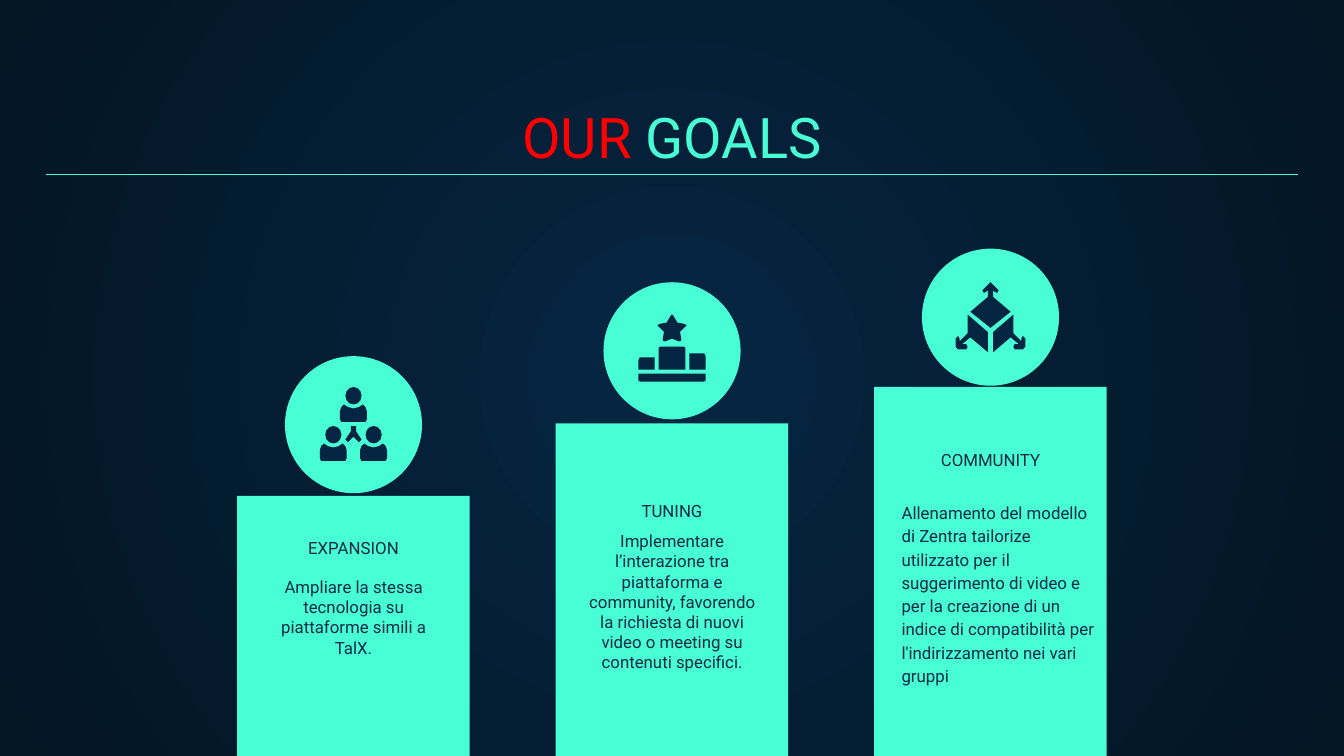
from dataclasses import dataclass
from lxml.etree import SubElement
from pptx import Presentation
from pptx.dml.color import RGBColor
from pptx.enum.shapes import MSO_CONNECTOR, MSO_SHAPE
from pptx.enum.text import MSO_ANCHOR, PP_ALIGN
from pptx.oxml.ns import qn
from pptx.util import Inches, Pt


@dataclass(frozen=True)
class Theme:
    mint: str = "48FFD5"
    red: str = "FF0000"
    ink: str = "0E2A47"
    navy: str = "052643"
    night: str = "041523"
    font: str = "Roboto"
    title_size: float = 30
    body_size: float = 9
    rule_width: float = 0.75


@dataclass(frozen=True)
class Goal:
    name: str
    detail: str
    column_top: float
    circle_top: float
    name_top: float
    detail_box: tuple
    align: PP_ALIGN = PP_ALIGN.CENTER
    spacing: float = 1.0


SLIDE_W, SLIDE_H = 10, 5.625
FIRST_AXIS, AXIS_STEP = 2.63, 2.37
COLUMN_W, CIRCLE, NAME_W = 1.73, 1.02, 2.27

GOALS = [
    Goal("EXPANSION", "Ampliare la stessa tecnologia su piattaforme simili a TalX.",
         3.69, 2.65, 4.02, (1.87, 4.19, 1.52, 0.55)),
    Goal("TUNING", "Implementare l’interazione tra piattaforma e community, favorendo "
         "la richiesta di nuovi video o meeting su contenuti specifici.",
         3.15, 2.1, 3.74, (4.24, 3.85, 1.52, 1.69)),
    Goal("COMMUNITY", "Allenamento del modello di Zentra tailorize utilizzato per il "
         "suggerimento di video e per la creazione di un indice di compatibilità "
         "per l'indirizzamento nei vari gruppi",
         2.88, 1.85, 3.36, (6.61, 3.62, 1.63, 1.54), PP_ALIGN.LEFT, 1.15),
]

SHOULDERS = [(0, .39), (.04, .38), (.07, .36), (.09, .38), (.1, .41), (.1, .47),
             (.09, .49), (0, .49)]
BRANCH = [(0, .52), (.02, .52), (.02, .56), (.06, .62), (.04, .64), (0, .6)]
STAR = [(0, .24), (.01, .25), (.04, .3), (.09, .31), (.11, .32), (.1, .33), (.06, .37),
        (.07, .43), (.06, .44), (.05, .44), (0, .42)]
FIRST_PLACE = [(0, .48), (.09, .48), (.1, .49), (.1, .65), (0, .65)]
PODIUM_BASE = [(0, .68), (.25, .68), (.25, .73), (.24, .74), (0, .74)]
CUBE_TOP = [(0, .25), (.01, .26), (.05, .3), (.06, .31), (.05, .33), (.03, .32),
            (.02, .31), (.02, .36), (.15, .47), (0, .59)]
CUBE_SIDE = [(.02, .77), (.02, .62), (.17, .49), (.17, .63), (.23, .69), (.23, .67),
             (.24, .65), (.25, .66), (.26, .67), (.26, .73), (.24, .75), (.18, .75),
             (.17, .73), (.18, .71), (.21, .71), (.15, .66)]


def mirror(points):
    return [(-x, y) for x, y in points]


def symmetric(half):
    return half + mirror(half)[::-1]


def add_text(paragraph, text, *, font, size, color):
    run = paragraph.add_run()
    run.text = text
    run.font.name = font
    run.font.size = Pt(size)
    run.font.color.rgb = RGBColor.from_string(color)


class GoalsSlide:
    def __init__(self, deck, theme):
        self.theme = theme
        self.slide = deck.slides.add_slide(deck.slide_layouts[6])

    def background(self):
        fill = self.slide.background.fill
        fill.gradient()
        for stop, color in zip(fill.gradient_stops, (self.theme.navy, self.theme.night)):
            stop.color.rgb = RGBColor.from_string(color)
        gradient = next(self.slide.element.iter(qn("a:gradFill")))
        gradient.remove(gradient.find(qn("a:lin")))
        circle = SubElement(gradient, qn("a:path"), path="circle")
        SubElement(circle, qn("a:fillToRect"), l="50000", t="50000", r="50000", b="50000")

    def paint(self, shape, color):
        shape.shadow.inherit = False
        shape.fill.solid()
        shape.fill.fore_color.rgb = RGBColor.from_string(color)
        shape.line.fill.background()

    def preset(self, kind, left, top, width, height, color):
        box = [Inches(v) for v in (left, top, width, height)]
        self.paint(self.slide.shapes.add_shape(kind, *box), color)

    def outline(self, axis, top, points):
        corners = [(Inches(axis + x), Inches(top + y)) for x, y in points]
        builder = self.slide.shapes.build_freeform(*corners[0])
        builder.add_line_segments(corners[1:], close=True)
        self.paint(builder.convert_to_shape(), self.theme.navy)

    def rule(self, left, right, y):
        line = self.slide.shapes.add_connector(
            MSO_CONNECTOR.STRAIGHT, Inches(left), Inches(y), Inches(right), Inches(y))
        line.line.color.rgb = RGBColor.from_string(self.theme.mint)
        line.line.width = Pt(self.theme.rule_width)
        SubElement(line.element.spPr, qn("a:effectLst"))

    def text(self, box, parts, size, anchor=MSO_ANCHOR.TOP, align=PP_ALIGN.CENTER,
             spacing=1.0):
        frame = self.slide.shapes.add_textbox(*[Inches(v) for v in box]).text_frame
        frame.word_wrap = True
        frame.vertical_anchor = anchor
        frame.margin_left = frame.margin_right = Inches(0.1)
        frame.margin_top = frame.margin_bottom = Inches(0.1)
        paragraph = frame.paragraphs[0]
        paragraph.alignment = align
        paragraph.line_spacing = spacing
        for words, color in parts:
            add_text(paragraph, words, font=self.theme.font, size=size, color=color)

    def goal(self, axis, goal):
        theme = self.theme
        self.preset(MSO_SHAPE.RECTANGLE, axis - COLUMN_W / 2, goal.column_top,
                    COLUMN_W, SLIDE_H - goal.column_top, theme.mint)
        self.text(goal.detail_box, [(goal.detail, theme.ink)], theme.body_size,
                  align=goal.align, spacing=goal.spacing)
        self.text((axis - NAME_W / 2, goal.name_top, NAME_W, 0.21),
                  [(goal.name, theme.ink)], theme.body_size, MSO_ANCHOR.BOTTOM)
        self.preset(MSO_SHAPE.OVAL, axis - CIRCLE / 2, goal.circle_top,
                    CIRCLE, CIRCLE, theme.mint)

    def team_icon(self, axis, top):
        for dx, dy in ((0, 0), (-.15, .29), (.15, .29)):
            self.preset(MSO_SHAPE.OVAL, axis + dx - .06, top + dy + .23, .12, .13,
                        self.theme.navy)
            self.outline(axis + dx, top + dy, symmetric(SHOULDERS))
        self.outline(axis, top, symmetric(BRANCH))

    def podium_icon(self, axis, top):
        for half in (STAR, FIRST_PLACE, PODIUM_BASE):
            self.outline(axis, top, symmetric(half))
        for side, y in ((-1, .56), (1, .53)):
            block = [(.13, y), (.24, y), (.25, y + .02), (.25, .65), (.13, .65)]
            self.outline(axis, top, [(side * x, dy) for x, dy in block])

    def cube_icon(self, axis, top):
        for points in (symmetric(CUBE_TOP), CUBE_SIDE, mirror(CUBE_SIDE)):
            self.outline(axis, top, points)


def main():
    deck = Presentation()
    deck.slide_width, deck.slide_height = Inches(SLIDE_W), Inches(SLIDE_H)
    theme = Theme()
    page = GoalsSlide(deck, theme)
    page.background()
    page.text((0.34, 0.7, 9.32, 0.66), [("OUR ", theme.red), ("GOALS", theme.mint)],
              theme.title_size, MSO_ANCHOR.BOTTOM)
    page.rule(0.34, 9.66, 1.3)
    icons = (page.team_icon, page.podium_icon, page.cube_icon)
    for index, (goal, draw_icon) in enumerate(zip(GOALS, icons)):
        axis = FIRST_AXIS + index * AXIS_STEP
        page.goal(axis, goal)
        draw_icon(axis, goal.circle_top)
    deck.save("out.pptx")


if __name__ == "__main__":
    main()
